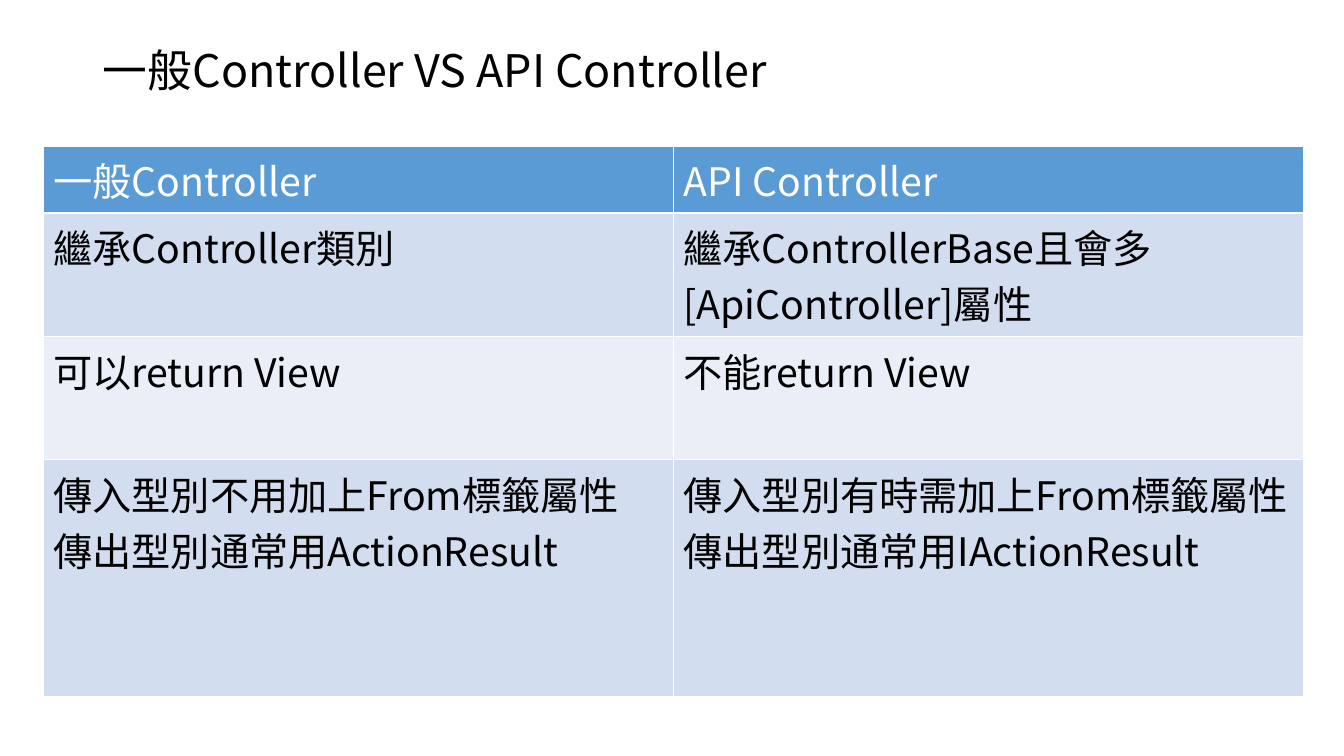
import pptx
import pptx.dml.color
import pptx.enum.text
import pptx.oxml.ns
import pptx.util
from lxml import etree

Inches = pptx.util.Inches
FONT = "Noto Sans CJK SC"
COLORS = {
    "ink": "000000",
    "header_text": "FFFFFF",
    "header": "5B9BD5",
    "odd_row": "D2DEEF",
    "even_row": "EAEFF7",
}
COMPARISON = [
    ("一般Controller", "API Controller"),
    ("繼承Controller類別", "繼承ControllerBase且會多[ApiController]屬性"),
    ("可以return View", "不能return View"),
    ("傳入型別不用加上From標籤屬性\n傳出型別通常用ActionResult",
     "傳入型別有時需加上From標籤屬性\n傳出型別通常用IActionResult"),
]
ROW_HEIGHTS = [0.65, 1.23, 1.22, 2.35]


def rgb(name):
    """Return the palette colour with the given name."""
    return pptx.dml.color.RGBColor.from_string(COLORS[name])


def write_text(frame, text, size=28, color="ink", line_spacing=None):
    """Fill a text frame with one left-aligned paragraph per line of text."""
    frame.text = text
    for paragraph in frame.paragraphs:
        paragraph.alignment = pptx.enum.text.PP_ALIGN.LEFT
        if line_spacing:
            paragraph.line_spacing = line_spacing
        for run in paragraph.runs:
            run.font.size = pptx.util.Pt(size)
            run.font.bold = False
            run.font.color.rgb = rgb(color)
            run.font.name = FONT
            east_asian = etree.SubElement(run.font._element, pptx.oxml.ns.qn("a:ea"))
            east_asian.set("typeface", FONT)


def place_title(slide, left, top, width, height):
    """Place the slide heading in the title placeholder."""
    heading = slide.shapes.title
    heading.left, heading.top = Inches(left), Inches(top)
    heading.width, heading.height = Inches(width), Inches(height)
    frame = heading.text_frame
    frame.word_wrap = True
    frame.auto_size = pptx.enum.text.MSO_AUTO_SIZE.NONE
    frame.vertical_anchor = pptx.enum.text.MSO_ANCHOR.MIDDLE
    write_text(frame, "一般Controller VS API Controller", size=32, line_spacing=0.9)


def place_comparison(slide, left, top, width):
    """Place the table that compares the two kinds of controller."""
    columns = len(COMPARISON[0])
    comparison = slide.shapes.add_table(
        len(COMPARISON), columns, Inches(left), Inches(top),
        Inches(width), Inches(sum(ROW_HEIGHTS))).table
    for column in comparison.columns:
        column.width = Inches(width / columns)
    for index, (entries, height) in enumerate(zip(COMPARISON, ROW_HEIGHTS)):
        comparison.rows[index].height = Inches(height)
        fill = "header" if index == 0 else "odd_row" if index % 2 else "even_row"
        for position, entry in enumerate(entries):
            cell = comparison.cell(index, position)
            cell.fill.solid()
            cell.fill.fore_color.rgb = rgb(fill)
            write_text(cell.text_frame, entry, color="ink" if index else "header_text")


def main():
    """Build the slide and save it."""
    deck = pptx.Presentation()
    deck.slide_width, deck.slide_height = Inches(13.33), Inches(7.5)
    slide = deck.slides.add_slide(deck.slide_layouts[5])
    place_title(slide, 0.92, 0, 11.5, 1.45)
    place_comparison(slide, 0.43, 1.45, 12.5)
    deck.save("out.pptx")


if __name__ == "__main__":
    main()
